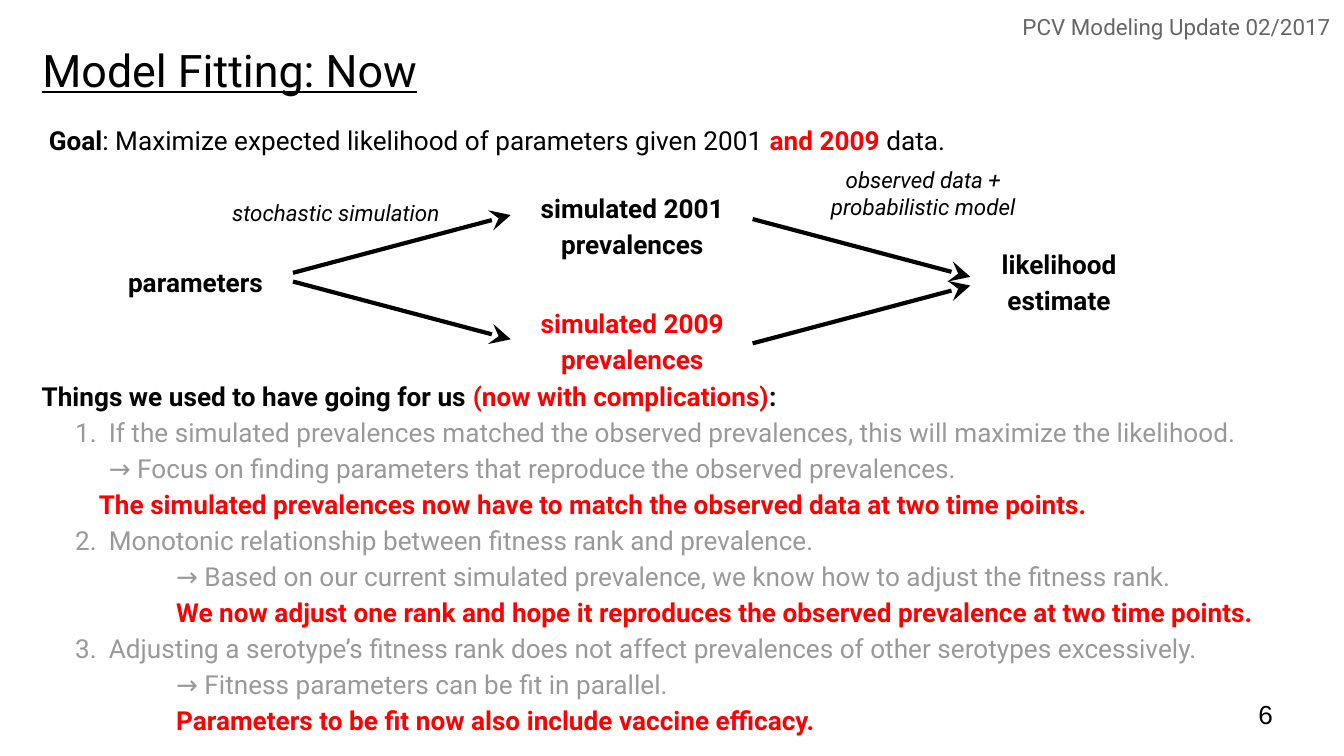
from dataclasses import dataclass
from typing import Optional

from lxml import etree
from pptx import Presentation
from pptx.dml.color import RGBColor
from pptx.enum import shapes, text
from pptx.oxml import ns
from pptx.util import Pt

PX = 4572
BLACK = RGBColor(0, 0, 0)
RED = RGBColor(255, 0, 0)
GRAY = RGBColor(0x99, 0x99, 0x99)
DARK_GRAY = RGBColor(0x66, 0x66, 0x66)
LEFT, CENTER, RIGHT = text.PP_ALIGN.LEFT, text.PP_ALIGN.CENTER, text.PP_ALIGN.RIGHT
TOP, MIDDLE = text.MSO_ANCHOR.TOP, text.MSO_ANCHOR.MIDDLE


@dataclass(frozen=True)
class Span:
    words: str
    color: RGBColor = BLACK
    bold: bool = False
    italic: bool = False
    underline: bool = False


@dataclass(frozen=True)
class Line:
    spans: tuple[Span, ...]
    margin: int = 0
    indent: int = 0
    number: Optional[int] = None


@dataclass(frozen=True)
class Block:
    box: tuple[int, int, int, int]
    lines: tuple[Line, ...]
    size: int = 14
    align: int = LEFT
    anchor: int = TOP
    spacing: float = 1.15
    font: str = "Roboto"


@dataclass(frozen=True)
class Arrow:
    start: tuple[int, int]
    end: tuple[int, int]


def line(words: str, color: RGBColor = BLACK, **style: bool) -> Line:
    return Line((Span(words, color, **style),))


def numbered(number: int, words: str) -> Line:
    return Line((Span(words, GRAY),), 100, -50, number)


def indented(indent: int, words: str, color: RGBColor, bold: bool = False) -> Line:
    return Line((Span(words, color, bold),), 0, indent)


def node(x: int, y: int, height: int, words: str, color: RGBColor = BLACK) -> Block:
    return Block((x, y, 324, height), (line(words, color, bold=True),), align=CENTER)


def child(parent, tag: str, **attributes: str):
    return etree.SubElement(parent, ns.qn(tag), **attributes)


def set_bullet(paragraph, content: Line) -> None:
    properties = paragraph._p.get_or_add_pPr()
    properties.set("marL", str(content.margin * PX))
    properties.set("indent", str(content.indent * PX))
    if content.number is None:
        child(properties, "a:buNone")
    else:
        child(child(properties, "a:buClr"), "a:srgbClr", val=str(GRAY))
        child(properties, "a:buFont", typeface="Roboto")
        child(properties, "a:buAutoNum", type="arabicPeriod", startAt=str(content.number))


def fill_text(shape, block: Block) -> None:
    shape.left, shape.top, shape.width, shape.height = (v * PX for v in block.box)
    frame = shape.text_frame
    frame.word_wrap = True
    frame.auto_size = text.MSO_AUTO_SIZE.NONE
    frame.vertical_anchor = block.anchor
    frame.margin_left = frame.margin_top = frame.margin_right = frame.margin_bottom = 20 * PX
    for index, content in enumerate(block.lines):
        paragraph = frame.add_paragraph() if index else frame.paragraphs[0]
        paragraph.alignment = block.align
        paragraph.line_spacing = block.spacing
        paragraph.space_before = paragraph.space_after = Pt(0)
        set_bullet(paragraph, content)
        for span in content.spans:
            run = paragraph.add_run()
            run.text = span.words
            run.font.name = block.font
            run.font.size = Pt(block.size)
            run.font.color.rgb = span.color
            run.font.bold = span.bold
            run.font.italic = span.italic
            run.font.underline = span.underline


def draw_block(slide, block: Block) -> None:
    fill_text(slide.shapes.add_textbox(0, 0, PX, PX), block)


def draw_arrow(slide, arrow: Arrow) -> None:
    ends = (v * PX for v in arrow.start + arrow.end)
    connector = slide.shapes.add_connector(shapes.MSO_CONNECTOR.STRAIGHT, *ends)
    connector.line.color.rgb = BLACK
    connector.line.width = Pt(2.25)
    child(connector.line._get_or_add_ln(), "a:tailEnd", type="stealth", w="lg", len="lg")
    child(connector._element.spPr, "a:effectLst")


TITLE = Block((43, 44, 1202, 120), (line("Model Fitting: Now", underline=True),), 24, spacing=1.0)
COMPLICATIONS = Block((42, 539, 1884, 564), (
    Line((
        Span("Things we used to have going for us ", bold=True),
        Span("(now with complications)", RED, True),
        Span(":", bold=True),
    )),
    numbered(1, "If the simulated prevalences matched the observed prevalences, "
                "this will maximize the likelihood."),
    indented(100, "→ Focus on finding parameters that reproduce the observed prevalences.", GRAY),
    indented(85, "The simulated prevalences now have to match the observed data "
                 "at two time points.", RED, True),
    numbered(2, "Monotonic relationship between fitness rank and prevalence."),
    indented(200, "→ Based on our current simulated prevalence, we know how to adjust "
                  "the fitness rank.", GRAY),
    indented(200, "We now adjust one rank and hope it reproduces the observed prevalence "
                  "at two time points.", RED, True),
    numbered(3, "Adjusting a serotype’s fitness rank does not affect prevalences "
                "of other serotypes excessively."),
    indented(200, "→ Fitness parameters can be fit in parallel.", GRAY),
    indented(200, "Parameters to be fit now also include vaccine efficacy.", RED, True),
))
BLOCKS = (
    Block((1853, 1020, 120, 86), (line("6"),), anchor=MIDDLE, spacing=1.0, font="Arial"),
    Block((53, 158, 1446, 106), (Line((
        Span("Goal", bold=True),
        Span(": Maximize expected likelihood of parameters given 2001 "),
        Span("and 2009 ", RED, True),
        Span("data."),
    )),)),
    node(129, 370, 86, "parameters"),
    node(779, 260, 150, "simulated 2001 prevalences"),
    node(779, 430, 150, "simulated 2009 prevalences", RED),
    node(1414, 343, 150, "likelihood estimate"),
    Block((237, 270, 526, 86), (line("stochastic simulation", italic=True),), 12, CENTER),
    Block((1152, 227, 444, 150), (
        line("observed data +", italic=True),
        line("probabilistic model", italic=True),
    ), 12, CENTER, spacing=1.0),
    Block((1494, 0, 506, 86), (line("PCV Modeling Update 02/2017", DARK_GRAY),),
          12, RIGHT, spacing=1.0),
)
ARROWS = (
    Arrow((436, 406), (760, 320)),
    Arrow((436, 419), (760, 505)),
    Arrow((1120, 326), (1444, 412)),
    Arrow((1120, 511), (1444, 425)),
)


def main() -> None:
    deck = Presentation()
    deck.slide_width, deck.slide_height = 2000 * PX, 1125 * PX
    slide = deck.slides.add_slide(deck.slide_layouts[1])
    fill_text(slide.shapes.title, TITLE)
    fill_text(slide.placeholders[1], COMPLICATIONS)
    for block in BLOCKS:
        draw_block(slide, block)
    for arrow in ARROWS:
        draw_arrow(slide, arrow)
    deck.save("out.pptx")


if __name__ == "__main__":
    main()
